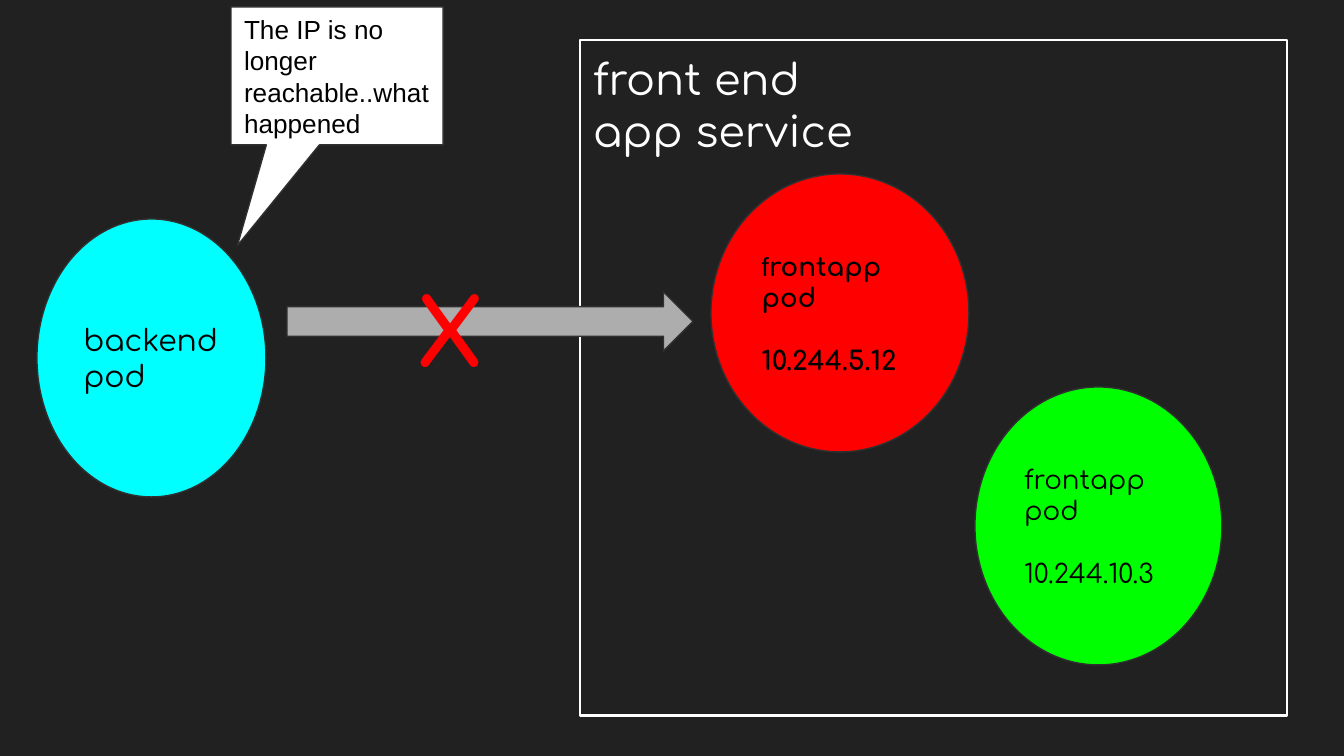
from dataclasses import dataclass
from typing import Optional

import pptx
import pptx.dml.color
import pptx.enum.shapes
import pptx.enum.text
import pptx.util

RGB = pptx.dml.color.RGBColor
SHAPE = pptx.enum.shapes.MSO_SHAPE
ANCHOR = pptx.enum.text.MSO_ANCHOR

SLIDE_WIDTH, SLIDE_HEIGHT = 1344, 756
EMU_PER_PX = 9144000 / SLIDE_WIDTH
INSET = 13
LINE_HEIGHT = 1.2

BACKGROUND = RGB(0x21, 0x21, 0x21)
OUTLINE = RGB(0x30, 0x30, 0x30)
WHITE = RGB(0xFF, 0xFF, 0xFF)
BLACK = RGB(0x00, 0x00, 0x00)
CYAN = RGB(0x00, 0xFF, 0xFF)
RED = RGB(0xFF, 0x00, 0x00)
GREEN = RGB(0x00, 0xFF, 0x00)
GREY = RGB(0xAD, 0xAD, 0xAD)


@dataclass(frozen=True)
class Span:
    text: str
    font: str = "Comfortaa"
    bold: bool = False


@dataclass(frozen=True)
class Label:
    paragraphs: tuple[tuple[Span, ...], ...]
    size: int
    color: RGB = BLACK
    anchor: ANCHOR = ANCHOR.MIDDLE
    gap: int = 0  # points between paragraphs


@dataclass(frozen=True)
class Part:
    kind: Optional[SHAPE]  # None is a plain text box
    box: tuple[int, int, int, int]
    fill: Optional[RGB] = None
    line: RGB = OUTLINE
    line_width: float = 0.75
    label: Optional[Label] = None
    adjustments: tuple[float, ...] = ()


def px(length: int) -> int:
    return round(length * EMU_PER_PX)


def write_label(frame, label: Label) -> None:
    frame_format = {"word_wrap": True, "vertical_anchor": label.anchor}
    for side in ("left", "top", "right", "bottom"):
        frame_format[f"margin_{side}"] = px(INSET)
    for name, value in frame_format.items():
        setattr(frame, name, value)

    for index, spans in enumerate(label.paragraphs):
        paragraph = frame.add_paragraph() if index else frame.paragraphs[0]
        paragraph.alignment = pptx.enum.text.PP_ALIGN.LEFT
        paragraph.line_spacing = pptx.util.Pt(round(label.size * LINE_HEIGHT, 1))
        if index and label.gap:
            paragraph.space_before = pptx.util.Pt(label.gap)
        for span in spans:
            run = paragraph.add_run()
            run.text = span.text
            run.font.color.rgb = label.color
            font_format = {"name": span.font, "bold": span.bold,
                           "size": pptx.util.Pt(label.size)}
            for name, value in font_format.items():
                setattr(run.font, name, value)


def draw_part(shapes, part: Part) -> None:
    place = [px(length) for length in part.box]
    if part.kind is None:
        drawn = shapes.add_textbox(*place)
    else:
        drawn = shapes.add_shape(part.kind, *place)
        drawn.shadow.inherit = False
        for index, value in enumerate(part.adjustments):
            drawn.adjustments[index] = value
        if part.fill is None:
            drawn.fill.background()
        else:
            drawn.fill.solid()
            drawn.fill.fore_color.rgb = part.fill
        drawn.line.color.rgb = part.line
        drawn.line.width = pptx.util.Pt(part.line_width)
    if part.label:
        write_label(drawn.text_frame, part.label)


# Frame of the service that holds the front end pods
service = Part(
    SHAPE.RECTANGLE, (580, 40, 707, 676), line=WHITE, line_width=1.5,
    label=Label(((Span("front end"),), (Span("app service"),)),
                23, WHITE, ANCHOR.TOP))

# Pods
backend_pod = Part(
    SHAPE.OVAL, (37, 219, 229, 278), CYAN,
    label=Label(((Span("backend"),), (Span("pod"),)), 16))
lost_pod = Part(
    SHAPE.OVAL, (711, 174, 258, 278), RED,
    label=Label(((Span("f", "Arial"), Span("rontapp pod", bold=True)),
                 (Span("10.244.5.12", bold=True),)), 14, gap=17))
new_pod = Part(
    SHAPE.OVAL, (975, 387, 247, 278), GREEN,
    label=Label(((Span("frontapp pod"),), (Span("10.244.10.3"),)), 14, gap=17))

# Broken request and the backend's complaint
request = Part(SHAPE.RIGHT_ARROW, (287, 292, 406, 59), GREY,
               adjustments=(0.5, 0.5))
failure = Part(
    None, (403, 261, 99, 105),
    label=Label(((Span("X", bold=True),),), 50, RED, ANCHOR.TOP))
complaint = Part(
    SHAPE.RECTANGULAR_CALLOUT, (231, 7, 212, 138), WHITE,
    label=Label(((Span("The IP is no longer reachable..what happened",
                       "Arial"),),), 14),
    adjustments=(-0.47, 1.23))


def main() -> None:
    presentation = pptx.Presentation()
    presentation.slide_width = px(SLIDE_WIDTH)
    presentation.slide_height = px(SLIDE_HEIGHT)
    slide = presentation.slides.add_slide(presentation.slide_layouts[6])
    slide.background.fill.solid()
    slide.background.fill.fore_color.rgb = BACKGROUND

    for part in (service, backend_pod, lost_pod, request, new_pod,
                 failure, complaint):
        draw_part(slide.shapes, part)
    presentation.save("out.pptx")


if __name__ == "__main__":
    main()
